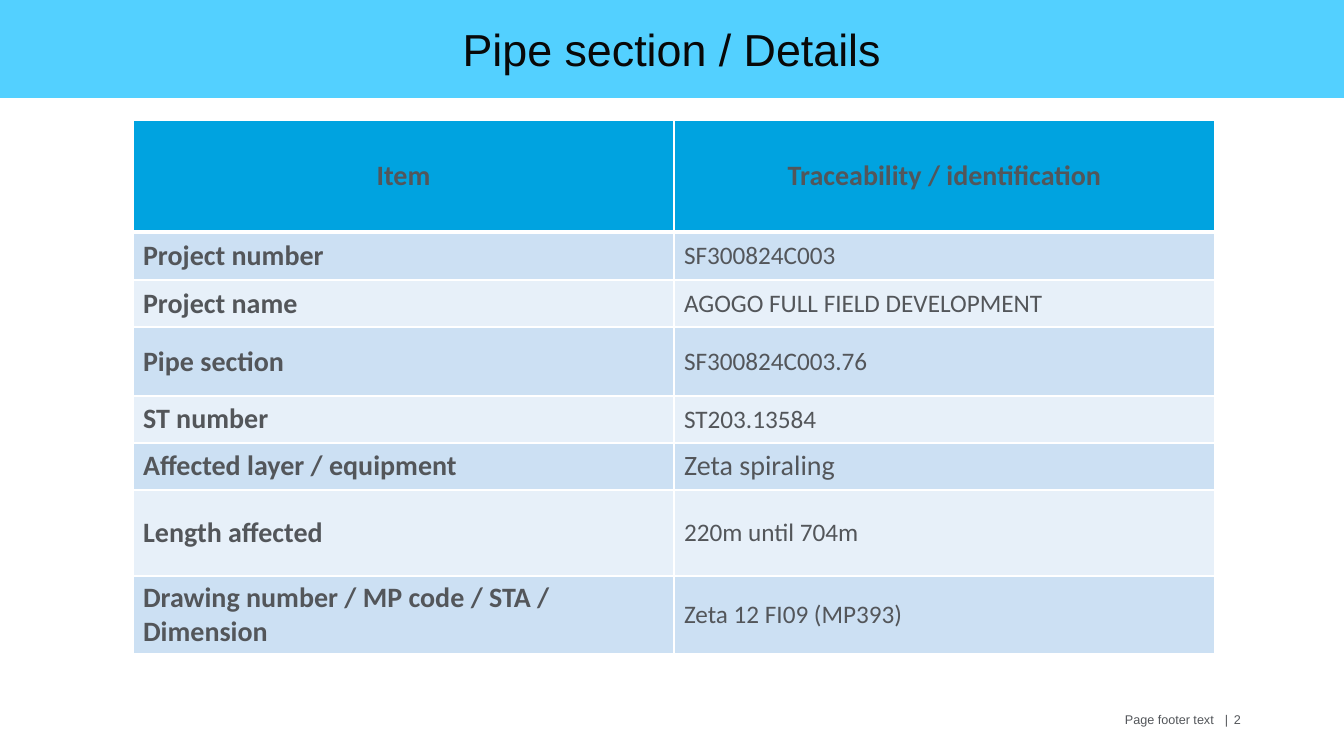
"""Build the pipe section details slide."""
from lxml.etree import SubElement
from pptx import Presentation
from pptx.dml.color import RGBColor
from pptx.enum.shapes import MSO_SHAPE
from pptx.enum.text import MSO_ANCHOR, PP_ALIGN
from pptx.oxml import parse_xml
from pptx.oxml.ns import nsdecls, qn
from pptx.util import Pt

PX = 12192000 / 1344
BANNER = RGBColor(0x53, 0xD0, 0xFF)
HEADER = RGBColor(0x00, 0xA3, 0xE0)
BAND_DARK = RGBColor(0xCC, 0xE0, 0xF3)
BAND_LIGHT = RGBColor(0xE7, 0xF0, 0xF9)
GREY = RGBColor(0x53, 0x56, 0x5A)
BLACK = RGBColor(0x08, 0x08, 0x08)

ROWS = [
    (112, "Item", "Traceability / identification"),
    (48, "Project number", "SF300824C003"),
    (47, "Project name", "AGOGO FULL FIELD DEVELOPMENT"),
    (69, "Pipe section", "SF300824C003.76"),
    (47, "ST number", "ST203.13584"),
    (47, "Affected layer / equipment", "Zeta spiraling"),
    (86, "Length affected", "220m until 704m"),
    (78, "Drawing number / MP code / STA / Dimension", "Zeta 12 FI09 (MP393)"),
]


def px(*lengths):
    return [round(length * PX) for length in lengths]


def write(frame, text, size, font="Calibri", color=GREY, bold=False,
          align=PP_ALIGN.LEFT, tabs=()):
    frame.word_wrap = True
    para = frame.paragraphs[0]
    para.alignment = align
    if tabs:
        tab_list = SubElement(para._p.get_or_add_pPr(), qn("a:tabLst"))
        for position in px(*tabs):
            SubElement(tab_list, qn("a:tab"), pos=str(position), algn="l")
    span = para.add_run()
    span.text = text
    span.font.name = font
    span.font.size = Pt(size)
    span.font.bold = bold
    span.font.color.rgb = color


deck = Presentation()
deck.slide_width, deck.slide_height = px(1344, 756)
page = deck.slides.add_slide(deck.slide_layouts[6])

footer = page.shapes.add_textbox(*px(1115, 707, 140, 40))
write(footer.text_frame, "Page footer text\t|\t2", 9, font="Arial", tabs=(100, 109))

table_height = sum(row[0] for row in ROWS)
table = page.shapes.add_table(len(ROWS), 2, *px(133, 120, 1082, table_height)).table
for column in table.columns:
    column.width = px(541)[0]

for row_index, (height, *texts) in enumerate(ROWS):
    table.rows[row_index].height = px(height)[0]
    is_header = row_index == 0
    band = HEADER if is_header else BAND_DARK if row_index % 2 else BAND_LIGHT
    for column_index, text in enumerate(texts):
        cell = table.cell(row_index, column_index)
        cell.vertical_anchor = MSO_ANCHOR.MIDDLE
        cell.fill.solid()
        cell.fill.fore_color.rgb = band
        is_bold = is_header or column_index == 0
        write(cell.text_frame, text, 20 if is_bold or text == "Zeta spiraling" else 18,
              bold=is_bold, align=PP_ALIGN.CENTER if is_header else PP_ALIGN.LEFT)
        for place, side in enumerate("LRTB"):
            is_thick = (row_index, side) in ((0, "B"), (1, "T"))
            border = parse_xml(
                f'<a:ln{side} {nsdecls("a")} w="{Pt(3 if is_thick else 1)}">'
                f'<a:solidFill><a:srgbClr val="FFFFFF"/></a:solidFill></a:ln{side}>')
            cell._tc.get_or_add_tcPr().insert(place, border)

banner = page.shapes.add_shape(MSO_SHAPE.RECTANGLE, *px(0, -1, 1344, 99))
banner.shadow.inherit = False
banner.fill.solid()
banner.fill.fore_color.rgb = BANNER
banner.line.fill.background()
banner.text_frame.vertical_anchor = MSO_ANCHOR.MIDDLE
write(banner.text_frame, "Pipe section / Details", 32, font="Arial", color=BLACK,
      align=PP_ALIGN.CENTER)

deck.save("out.pptx")
